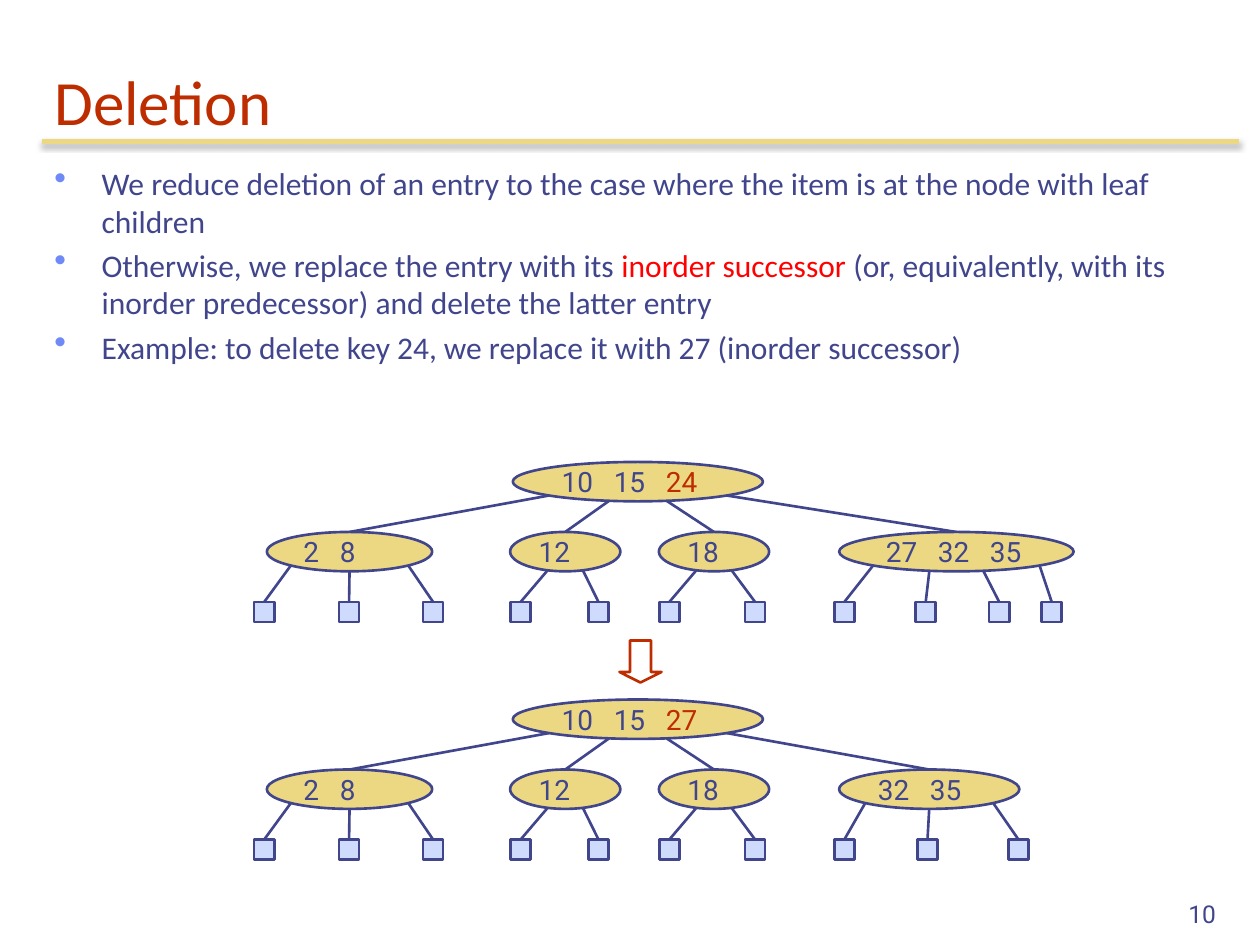
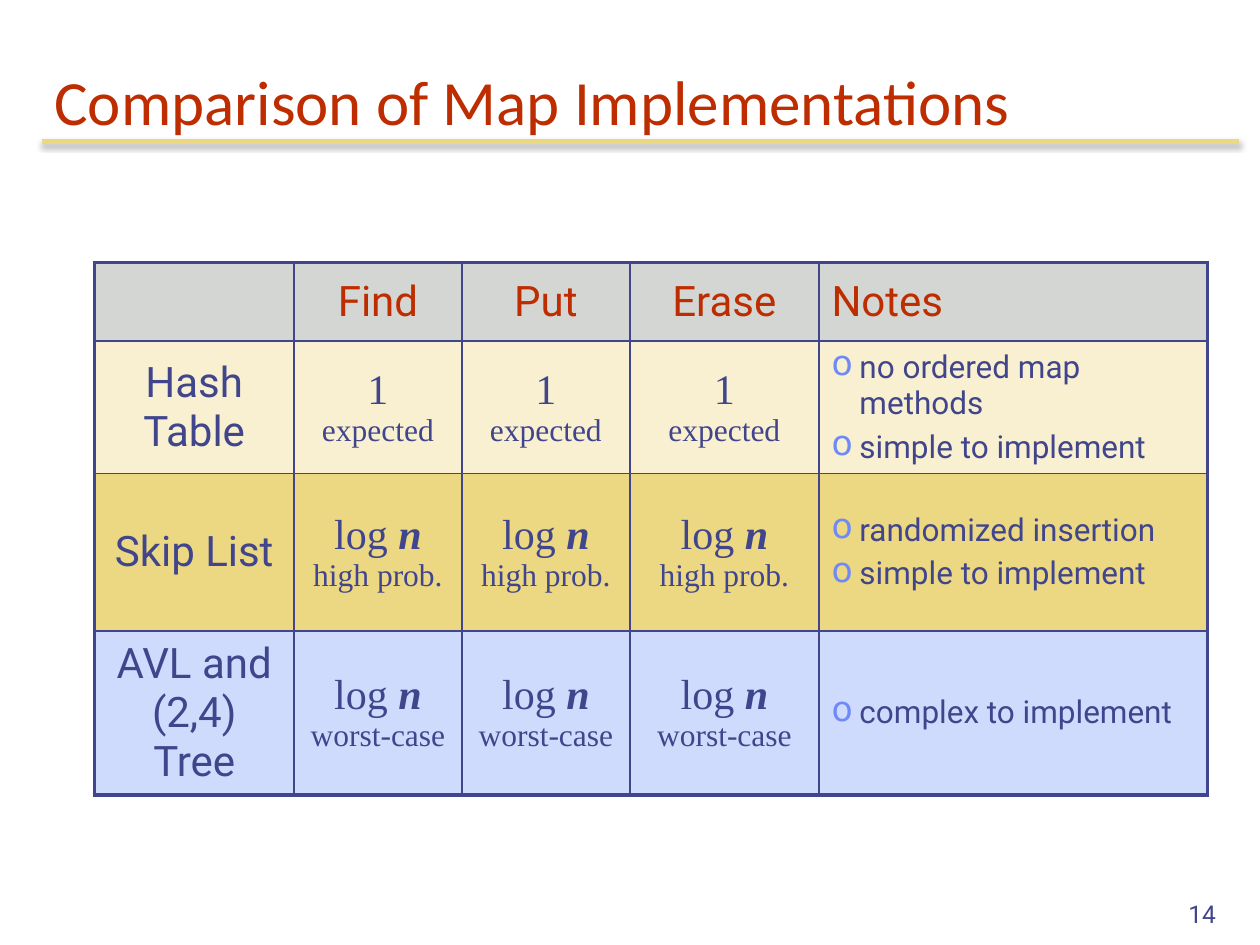
from math import sqrt

from lxml import etree
from pptx import Presentation
from pptx.dml.color import RGBColor
from pptx.enum import shapes, text
from pptx.oxml import ns
from pptx.util import Pt

NAVY = RGBColor(0x40, 0x45, 0x8C)
RUST = RGBColor(0xBE, 0x2D, 0x00)
GOLD = RGBColor(0xEC, 0xD8, 0x82)
CREAM = RGBColor(0xF8, 0xF0, 0xD0)
SKY = RGBColor(0xCF, 0xDB, 0xFD)
GRAY = RGBColor(0xD4, 0xD6, 0xD4)
RED = RGBColor(0xFF, 0x00, 0x00)
BULLET_BLUE = RGBColor(0x6F, 0x89, 0xF7)
HEADING, LABEL, FORMULA = "Calibri", "Roboto", "Times New Roman"
MIDDLE, BOTTOM = text.MSO_ANCHOR.MIDDLE, text.MSO_ANCHOR.BOTTOM
CENTER, RIGHT = text.PP_ALIGN.CENTER, text.PP_ALIGN.RIGHT

# A paragraph is a list of runs; a run is a string or (string, format changes).
DELETION_POINTS = [
    ["We reduce deletion of an entry to the case where the item is at the node "
     "with leaf children"],
    ["Otherwise, we replace the entry with its ",
     ("inorder successor ", {"color": RED}),
     "(or, equivalently, with its inorder predecessor) and delete the latter entry"],
    ["Example: to delete key 24, we replace it with 27 (inorder successor)"],
]

# Nodes: keys, left, width, centres of the leaves below
ROOT_LEFT, ROOT_WIDTH = 293, 143
SHARED_NODES = [
    (["2", "8"], 152.5, 94.5, [151, 199.5, 247.5]),
    (["12"], 291.5, 63, [297.5, 342]),
    (["18"], 376.5, 63, [382.5, 431.5]),
]
TREES = [  # top, root keys, nodes
    (264, ["10", "15", "24"],
     SHARED_NODES + [(["27", "32", "35"], 479.5, 134, [482.5, 529, 571, 601])]),
    (399.75, ["10", "15", "27"],
     SHARED_NODES + [(["32", "35"], 479.5, 103, [482.5, 530, 582])]),
]
LEVEL_STEP, NODE_HEIGHT, LEAF_SIZE = 40, 22.5, 11.5
# Where edges leave a node, as parts of its half width, by number of children
EDGE_STARTS = {2: (-0.32, 0.32), 3: (-0.71, 0, 0.71), 4: (-0.71, -0.23, 0.23, 0.71)}

HEADERS = ["", "Find", "Put", "Erase", "Notes"]
LOG_N = ["log ", ("n", {"bold": True, "italic": True})]
MAPS = [  # name, cost, qualifier, notes, fill
    ("Hash Table", ["1"], "expected",
     [["no ordered map", "\n", "methods"], ["simple to implement"]], CREAM),
    ("Skip List", LOG_N, "high prob.",
     [["randomized insertion"], ["simple to implement"]], GOLD),
    ("AVL and (2,4) Tree", LOG_N, "worst-case", [["complex to implement"]], SKY),
]
COLUMN_WIDTHS = [114, 96, 96, 108, 222]
ROW_HEIGHTS = [45, 75.5, 90, 91.5]


def add_xml(parent, tag, **attributes):
    return etree.SubElement(parent, ns.qn(tag), attributes)


def add_solid(parent, color):
    return add_xml(add_xml(parent, "a:solidFill"), "a:srgbClr", val=str(color))


def write(frame, paragraphs, size=18, font=LABEL, color=NAVY, align=None,
          bullet=None, hang=0, gap=3.6, tabs=()):
    """Fill a text frame; hang is the bullet indent, tabs are stops in points."""
    for number, runs in enumerate(paragraphs):
        paragraph = frame.paragraphs[0] if number == 0 else frame.add_paragraph()
        properties = paragraph._p.get_or_add_pPr()
        if bullet:
            properties.set("marL", str(Pt(hang)))
            properties.set("indent", str(-Pt(hang)))
            add_xml(add_xml(properties, "a:buClr"), "a:srgbClr", val=str(BULLET_BLUE))
            add_xml(properties, "a:buSzPct", val="110000")
            add_xml(properties, "a:buChar", char=bullet)
        if tabs:
            stops = add_xml(properties, "a:tabLst")
            for stop in tabs:
                add_xml(stops, "a:tab", pos=str(Pt(stop)), algn="l")
        if align is not None:
            paragraph.alignment = align
        if number:
            paragraph.space_before = Pt(gap)
        for item in runs:
            if item == "\n":
                paragraph.add_line_break()
                continue
            words, changes = item if isinstance(item, tuple) else (item, {})
            run = paragraph.add_run()
            run.text = words
            run.font.name = changes.get("font", font)
            run.font.size = Pt(changes.get("size", size))
            run.font.color.rgb = changes.get("color", color)
            run.font.bold = changes.get("bold", False)
            run.font.italic = changes.get("italic", False)


def add_text(slide, box, paragraphs, anchor=None, bottom=3.6, **style):
    frame = slide.shapes.add_textbox(*map(Pt, box)).text_frame
    frame.word_wrap = True
    frame.margin_bottom = Pt(bottom)
    if anchor is not None:
        frame.vertical_anchor = anchor
    write(frame, paragraphs, **style)


def add_line(slide, start, end, color=NAVY, width=1.5):
    """Draw a straight line and return its empty effect list."""
    line = slide.shapes.add_connector(
        shapes.MSO_CONNECTOR.STRAIGHT, *map(Pt, (*start, *end)))
    line.line.color.rgb = color
    line.line.width = Pt(width)
    return add_xml(line._element.spPr, "a:effectLst")


def add_figure(slide, kind, box, fill=None, line=NAVY):
    figure = slide.shapes.add_shape(kind, *map(Pt, box))
    figure.shadow.inherit = False
    if fill is None:
        figure.fill.background()
    else:
        figure.fill.solid()
        figure.fill.fore_color.rgb = fill
    figure.line.color.rgb = line
    figure.line.width = Pt(1.5)
    return figure


def start_slide(deck, title, page):
    slide = deck.slides.add_slide(deck.slide_layouts[6])
    effects = add_line(slide, (24, 81), (708, 81), GOLD, 3)
    shadow = add_xml(effects, "a:outerShdw", blurRad=str(Pt(3.1)),
                     dist=str(Pt(1.8)), dir="5400000", rotWithShape="0")
    add_xml(add_xml(shadow, "a:srgbClr", val="000000"), "a:alpha", val="35000")
    add_text(slide, (24, 24, 684, 56), [[title]], anchor=BOTTOM, bottom=1,
             size=36, font=HEADING, color=RUST)
    add_text(slide, (552, 498, 150, 36), [[page]], anchor=BOTTOM, size=14, align=RIGHT)
    return slide


def add_node(slide, keys, left, top, width, last_color=NAVY):
    node = add_figure(slide, shapes.MSO_SHAPE.OVAL, (left, top, width, NODE_HEIGHT), GOLD)
    frame = node.text_frame
    frame.word_wrap = True
    frame.margin_right = 0
    frame.vertical_anchor = MIDDLE
    step = 9 * len(keys[0]) + 11.75
    runs = [key + "\t" for key in keys[:-1]] + [(keys[-1], {"color": last_color})]
    write(frame, [runs], size=16, align=text.PP_ALIGN.LEFT,
          tabs=[step * n for n in range(1, len(keys))])


def add_edges(slide, left, top, width, child_centers):
    """Join the lower rim of a node to the tops of its children."""
    for part, child in zip(EDGE_STARTS[len(child_centers)], child_centers):
        x = left + width / 2 * (1 + part)
        y = top + NODE_HEIGHT / 2 * (1 + sqrt(1 - part ** 2))
        add_line(slide, (x, y), (child, top + LEVEL_STEP))


def add_tree(slide, top, root_keys, nodes):
    add_edges(slide, ROOT_LEFT, top, ROOT_WIDTH,
              [left + width / 2 for _, left, width, _ in nodes])
    add_node(slide, root_keys, ROOT_LEFT, top, ROOT_WIDTH, last_color=RUST)
    node_top = top + LEVEL_STEP
    for keys, left, width, leaves in nodes:
        add_edges(slide, left, node_top, width, leaves)
        add_node(slide, keys, left, node_top, width)
        for center in leaves:
            add_figure(slide, shapes.MSO_SHAPE.RECTANGLE,
                       (center - LEAF_SIZE / 2, node_top + LEVEL_STEP,
                        LEAF_SIZE, LEAF_SIZE), SKY)


def style_cell(cell, fill, outer_sides):
    """Draw the borders, thicker on the outer sides, then fill the cell."""
    properties = cell._tc.get_or_add_tcPr()
    for side in ("L", "R", "T", "B"):
        width = 2.25 if side in outer_sides else 1
        add_solid(add_xml(properties, f"a:ln{side}", w=str(Pt(width))), NAVY)
    cell.fill.solid()
    cell.fill.fore_color.rgb = fill
    cell.vertical_anchor = MIDDLE


def add_comparison(slide):
    rows, columns = len(ROW_HEIGHTS), len(COLUMN_WIDTHS)
    table = slide.shapes.add_table(
        rows, columns, Pt(54), Pt(150),
        Pt(sum(COLUMN_WIDTHS)), Pt(sum(ROW_HEIGHTS))).table
    table.first_row = table.horz_banding = False
    for column, width in zip(table.columns, COLUMN_WIDTHS):
        column.width = Pt(width)
    for row, height in zip(table.rows, ROW_HEIGHTS):
        row.height = Pt(height)

    fills = [GRAY] + [entry[-1] for entry in MAPS]
    for r in range(rows):
        for c in range(columns):
            edges = {"L": c == 0, "R": c == columns - 1, "T": r == 0, "B": r == rows - 1}
            style_cell(table.cell(r, c), fills[r], [s for s in edges if edges[s]])

    for c, header in enumerate(HEADERS):
        if header:
            write(table.cell(0, c).text_frame, [[header]], size=24, color=RUST,
                  align=None if header == "Notes" else CENTER)
    for r, (name, cost, qualifier, notes, _) in enumerate(MAPS, 1):
        write(table.cell(r, 0).text_frame, [[name]], size=24, align=CENTER)
        for c in range(1, columns - 1):
            write(table.cell(r, c).text_frame,
                  [cost + ["\n", (qualifier, {"size": 18})]],
                  size=24, font=FORMULA, align=CENTER)
        write(table.cell(r, columns - 1).text_frame, notes, bullet="o", hang=16)


def main():
    deck = Presentation()
    deck.slide_width, deck.slide_height = Pt(720), Pt(540)

    deletion = start_slide(deck, "Deletion", "10")
    add_text(deletion, (24, 90, 684, 408), DELETION_POINTS,
             font=HEADING, bullet="•", hang=27)
    for tree in TREES:
        add_tree(deletion, *tree)
    add_figure(deletion, shapes.MSO_SHAPE.DOWN_ARROW, (354, 366, 24, 24), line=RUST
               ).adjustments[1] = 0.25

    add_comparison(start_slide(deck, "Comparison of Map Implementations", "14"))
    deck.save("out.pptx")


if __name__ == "__main__":
    main()
